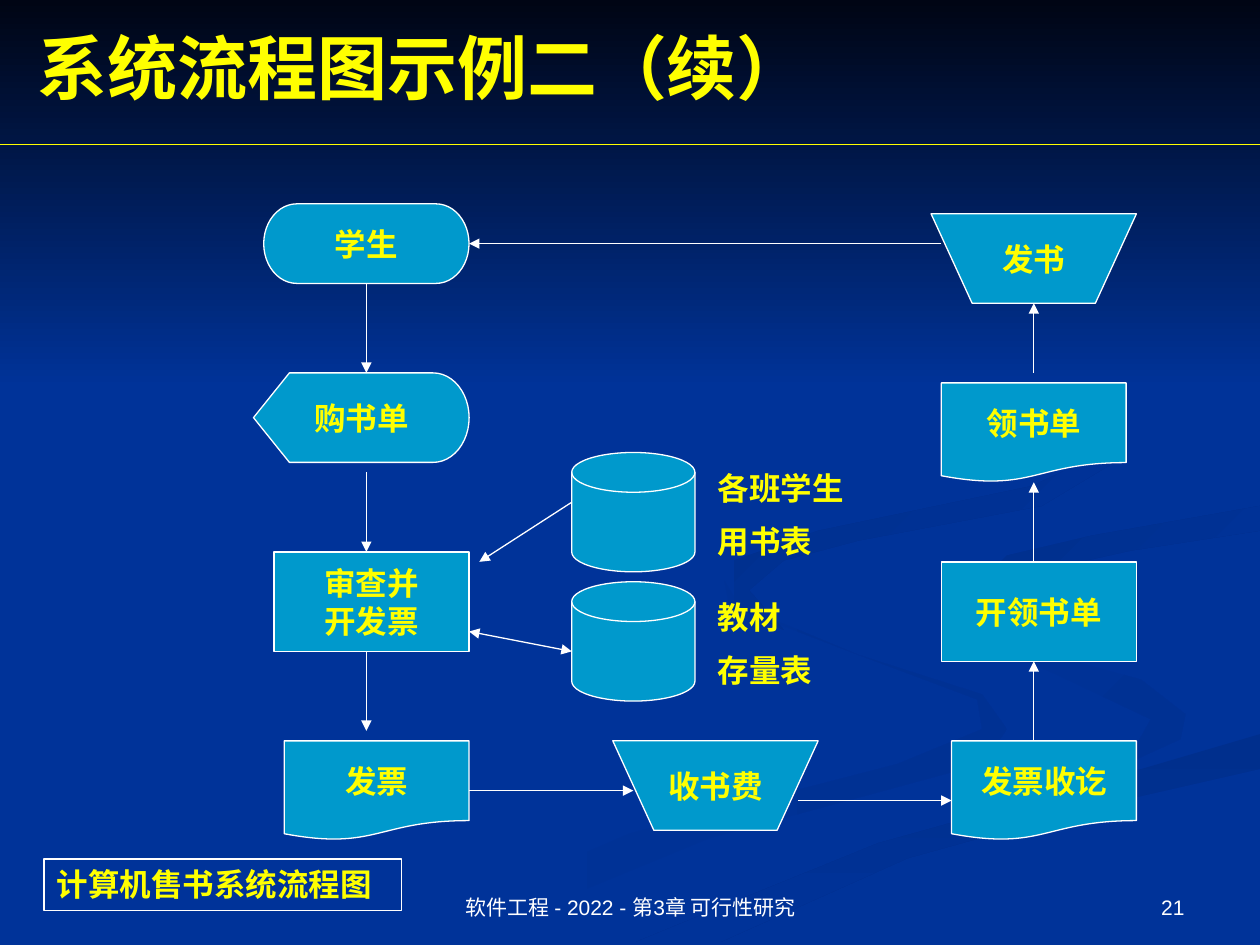
from lxml import etree
from pptx import Presentation
from pptx import util as u
from pptx.dml.color import RGBColor
from pptx.enum import shapes, text
from pptx.oxml.ns import qn

NAVY = RGBColor(0x00, 0x33, 0x99)
DUSK = RGBColor(0x00, 0x2F, 0x8D)
SHADE = RGBColor(0x00, 0x31, 0x93)
NIGHT = RGBColor(0x00, 0x05, 0x14)
TEAL = RGBColor(0x00, 0x99, 0xCC)
WHITE = RGBColor(0xFF, 0xFF, 0xFF)
YELLOW = RGBColor(0xFF, 0xFF, 0x00)
KIND = shapes.MSO_SHAPE
ALIGN = text.PP_ALIGN
ANCHOR = text.MSO_ANCHOR

WIDE, HIGH = 25.4, 19.05
LEFT, TOP = 5.11, 4.11          # origin of the chart grid, in cm
COL, ROW = 17.8 / 86, 12.83 / 64

# Ribbons behind the chart: first colour, last colour, angle, corners in cm
RIBBONS = [
    (NAVY, SHADE, 0, [
        (19.8, 14.0), (17.3, 13.2), (14.9, 12.2), (14.6, 11.7), (14.7, 12.2),
        (17.3, 13.2), (19.7, 14.1), (19.8, 14.7), (18.1, 15.4), (12.7, 16.8),
        (7.6, 19.0), (9.2, 19.0), (14.3, 16.9), (19.8, 15.4), (20.3, 14.7)]),
    (NAVY, SHADE, 45, [
        (23.9, 14.4), (23.0, 13.7), (19.7, 12.8), (18.4, 11.8), (18.8, 12.5),
        (21.3, 13.6), (23.2, 14.5), (22.7, 15.4), (23.8, 14.9)]),
    (DUSK, NAVY, 90, [
        (12.8, 19.0), (14.5, 19.0), (18.3, 17.3), (21.9, 16.3), (25.4, 15.5),
        (25.4, 14.8), (22.0, 15.8), (17.7, 17.0), (14.5, 18.3)]),
    (DUSK, NAVY, 45, [
        (19.8, 11.7), (20.2, 12.3), (21.0, 12.6), (20.4, 12.1), (21.0, 11.5),
        (22.8, 11.1), (25.4, 10.7), (25.4, 10.2), (22.0, 10.8), (20.3, 11.2)]),
    (DUSK, NAVY, 45, [
        (17.3, 10.9), (21.0, 10.2), (22.5, 9.3), (22.5, 8.1), (21.9, 7.4),
        (22.5, 8.3), (22.3, 9.1), (20.8, 9.8), (16.5, 10.7), (14.8, 11.3),
        (14.8, 12.2), (15.8, 12.7), (15.1, 11.9), (15.8, 11.3)]),
    (NIGHT, NAVY, 90, [(0, 0), (0, 7.82), (WIDE, 7.82), (WIDE, 0)]),
]

# Columns and rows each kind of step covers
SIZES = {
    KIND.FLOWCHART_TERMINATOR: (20, 8),
    KIND.FLOWCHART_DISPLAY: (21, 9),
    KIND.FLOWCHART_PROCESS: (19, 10),
    KIND.FLOWCHART_DOCUMENT: (18, 10),
    KIND.FLOWCHART_MAGNETIC_DISK: (12, 12),
    KIND.FLOWCHART_MANUAL_OPERATION: (20, 9),
}
# Steps: kind, column, row, lines of text
STEPS = [
    (KIND.FLOWCHART_TERMINATOR, 1, 0, ["学生"]),
    (KIND.FLOWCHART_DISPLAY, 0, 17, ["购书单"]),
    (KIND.FLOWCHART_PROCESS, 2, 35, ["审查并", "开发票"]),
    (KIND.FLOWCHART_DOCUMENT, 3, 54, ["发票"]),
    (KIND.FLOWCHART_MAGNETIC_DISK, 31, 25, []),
    (KIND.FLOWCHART_MAGNETIC_DISK, 31, 38, []),
    (KIND.FLOWCHART_MANUAL_OPERATION, 66, 1, ["发书"]),
    (KIND.FLOWCHART_DOCUMENT, 67, 18, ["领书单"]),
    (KIND.FLOWCHART_PROCESS, 67, 36, ["开领书单"]),
    (KIND.FLOWCHART_DOCUMENT, 68, 54, ["发票收讫"]),
    (KIND.FLOWCHART_MANUAL_OPERATION, 35, 54, ["收书费"]),
]
# Upright arrows: column, then pairs of first and last row
UPRIGHT = {11: [(8, 17), (27, 35), (45, 53)], 76: [(54, 46), (36, 28), (17, 10)]}
# Other arrows: start, end, ends that carry a head
ACROSS = [
    ((31, 30), (22, 36), ["tail"]), ((21, 43), (31, 45), ["head", "tail"]),
    ((21, 59), (37, 59), ["tail"]), ((53, 60), (68, 60), ["tail"]),
    ((67, 4), (21, 4), ["tail"]),
]
LABELS = [(44, 26, ["各班学生", "用书表"]), (44, 39, ["教材", "存量表"])]


def place(col, row):
    """Grid column and row to cm on the slide."""
    return LEFT + col * COL, TOP + row * ROW


def write(shape, lines, size=18, font="Times New Roman", color=YELLOW, bold=True,
          align=ALIGN.LEFT, anchor=ANCHOR.TOP, wrap=True, gap=0):
    frame = shape.text_frame
    frame.word_wrap = wrap
    frame.vertical_anchor = anchor
    for i, line in enumerate(lines):
        para = frame.add_paragraph() if i else frame.paragraphs[0]
        para.alignment = align
        if i and gap:
            para.space_before = u.Pt(gap)
        run = para.add_run()
        run.text = line
        run.font.size, run.font.name = u.Pt(size), font
        run.font.bold, run.font.color.rgb = bold, color


def add_box(slide, x, y, w, h, lines, **form):
    box = slide.shapes.add_textbox(u.Cm(x), u.Cm(y), u.Cm(w), u.Cm(h))
    write(box, lines, **form)
    return box


def outline(shape, color=WHITE):
    shape.line.color.rgb = color
    shape.line.width = u.Pt(0.75)


def add_ribbon(slide, first, last, angle, points):
    points = [(u.Cm(x), u.Cm(y)) for x, y in points]
    build = slide.shapes.build_freeform(*points[0])
    build.add_line_segments(points[1:], close=True)
    shape = build.convert_to_shape()
    shape.shadow.inherit = False
    shape.line.fill.background()
    shape.fill.gradient()
    shape.fill.gradient_angle = -angle % 360
    for stop, color in zip(shape.fill.gradient_stops, (first, last)):
        stop.color.rgb = color


def add_step(slide, kind, col, row, lines):
    x, y = place(col, row)
    cols, rows = SIZES[kind]
    shape = slide.shapes.add_shape(kind, u.Cm(x), u.Cm(y),
                                   u.Cm(cols * COL), u.Cm(rows * ROW))
    shape.shadow.inherit = False
    shape.fill.solid()
    shape.fill.fore_color.rgb = TEAL
    outline(shape)
    write(shape, lines, align=ALIGN.CENTER, anchor=ANCHOR.MIDDLE, wrap=False)


def add_line(slide, start, end, color=WHITE, heads=()):
    ends = [u.Cm(v) for v in (*start, *end)]
    line = slide.shapes.add_connector(shapes.MSO_CONNECTOR.STRAIGHT, *ends)
    outline(line, color)
    for head in heads:
        etree.SubElement(line.line._get_or_add_ln(), qn(f"a:{head}End"), type="triangle")
    etree.SubElement(line._element.spPr, qn("a:effectLst"))


def main():
    deck = Presentation()
    deck.slide_width, deck.slide_height = u.Cm(WIDE), u.Cm(HIGH)
    slide = deck.slides.add_slide(deck.slide_layouts[6])
    slide.background.fill.solid()
    slide.background.fill.fore_color.rgb = NAVY
    for ribbon in RIBBONS:
        add_ribbon(slide, *ribbon)

    add_box(slide, 0.51, 0.36, 22.86, 1.96, ["系统流程图示例二（续）"],
            size=40, anchor=ANCHOR.MIDDLE)
    add_line(slide, (0, 2.92), (WIDE, 2.92), color=YELLOW)

    for step in STEPS:
        add_step(slide, *step)
    for col, spans in UPRIGHT.items():
        for first, last in spans:
            add_line(slide, place(col, first), place(col, last), heads=["tail"])
    for start, end, heads in ACROSS:
        add_line(slide, place(*start), place(*end), heads=heads)
    for col, row, lines in LABELS:
        add_box(slide, *place(col, row), 3.3, 2.16, lines, gap=9)

    outline(add_box(slide, 0.89, 17.32, 7.21, 1.04, ["计算机售书系统流程图"]))
    foot = dict(size=12, font="Arial", color=WHITE, bold=False, anchor=ANCHOR.BOTTOM)
    add_box(slide, 8.69, 17.35, 8.05, 1.32, ["软件工程 - 2022 - 第3章 可行性研究"],
            align=ALIGN.CENTER, **foot)
    add_box(slide, 18.21, 17.35, 5.92, 1.32, ["21"], align=ALIGN.RIGHT, **foot)
    deck.save("out.pptx")


if __name__ == "__main__":
    main()
